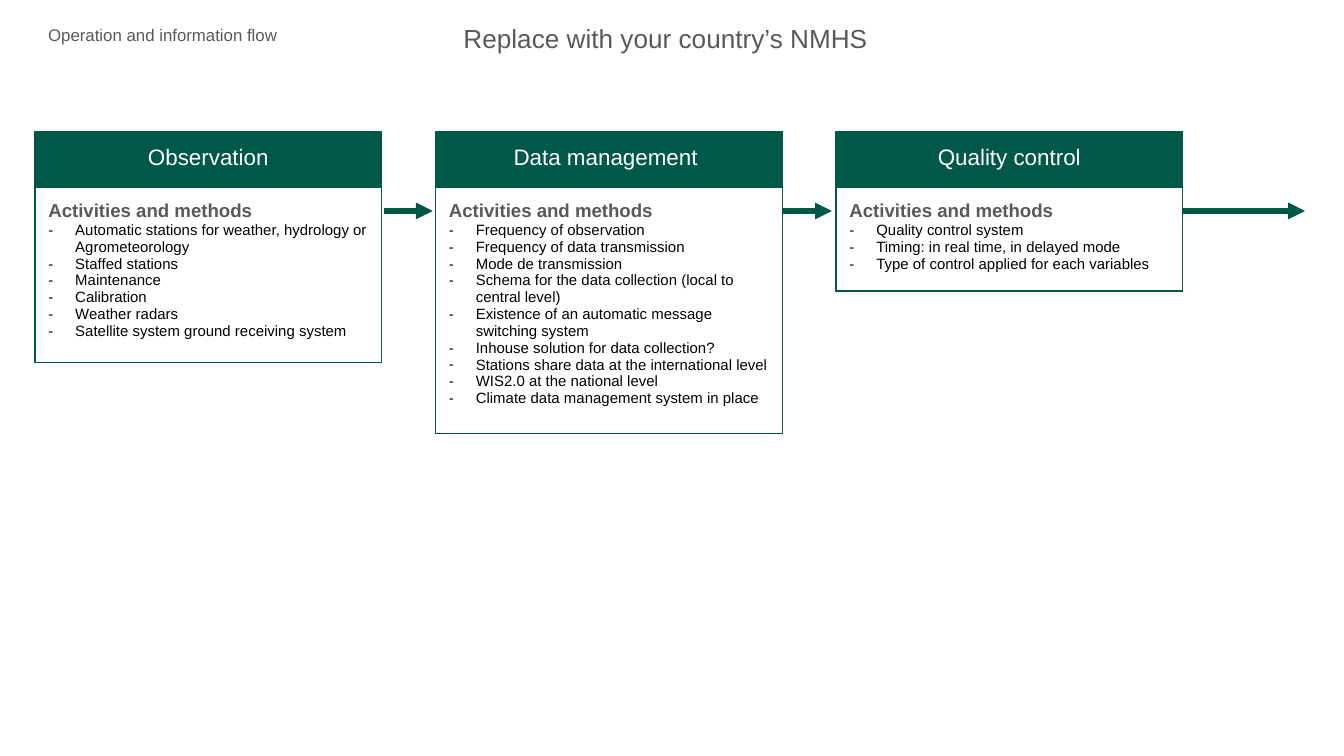
from dataclasses import dataclass

from lxml import etree
from pptx import Presentation
from pptx.dml.color import RGBColor
from pptx.enum.shapes import MSO_CONNECTOR
from pptx.enum.text import MSO_ANCHOR, PP_ALIGN
from pptx.oxml.ns import qn
from pptx.util import Inches, Pt

STRAIGHT = MSO_CONNECTOR.STRAIGHT
CENTER = PP_ALIGN.CENTER
TOP = MSO_ANCHOR.TOP


@dataclass(frozen=True)
class Theme:
    font: str = "Arial"
    green: str = "005849"
    gray: str = "595959"
    black: str = "000000"
    white: str = "FFFFFF"
    title: int = 14
    stage: int = 12
    heading: int = 10
    caption: int = 9
    item: int = 8


THEME = Theme()
MARGIN = Inches(0.1)
STAGE_LEFT, STAGE_STEP, STAGE_WIDTH = 0.26, 2.98, 2.58
STAGE_TOP, HEADER_HEIGHT = 0.98, 0.415
ARROW_Y = 1.57

STAGES = [
    ("Observation", 1.3, [
        "Automatic stations for weather, hydrology or Agrometeorology",
        "Staffed stations",
        "Maintenance",
        "Calibration",
        "Weather radars",
        "Satellite system ground receiving system",
    ]),
    ("Data management ", 1.83, [
        "Frequency of observation",
        "Frequency of data transmission",
        "Mode de transmission",
        "Schema for the data collection (local to central level)",
        "Existence of an automatic message switching system",
        "Inhouse solution for data collection?",
        "Stations share data at the international level",
        "WIS2.0 at the national level",
        "Climate data management system in place",
    ]),
    ("Quality control", 0.77, [
        "Quality control system",
        "Timing: in real time, in delayed mode",
        "Type of control applied for each variables",
    ]),
]
ARROWS = [(2.86, 3.22), (5.82, 6.19), (8.8, 9.71)]
CAPTIONS = [
    ("Operation and information flow", THEME.caption, (0.26, 0.11, 1.92, 0.35)),
    ("Replace with your country’s NMHS", THEME.title, (3.35, 0.07, 3.3, 0.44)),
]


def write(paragraph, text, size, color, bold=False):
    paragraph.text = text
    font = paragraph.font
    font.name, font.size, font.bold = THEME.font, Pt(size), bold
    font.color.rgb = RGBColor.from_string(color)


def set_borders(cell):
    """Outline all four sides; borders must precede the fill in tcPr."""
    properties = cell._tc.get_or_add_tcPr()
    for position, side in enumerate(("a:lnL", "a:lnR", "a:lnT", "a:lnB")):
        border = etree.Element(qn(side), w=str(Pt(0.75)))
        fill = etree.SubElement(border, qn("a:solidFill"))
        etree.SubElement(fill, qn("a:srgbClr"), val=THEME.green)
        properties.insert(position, border)


prs = Presentation()
prs.slide_width = Inches(10)
prs.slide_height = prs.slide_width * 9 // 16
slide = prs.slides.add_slide(prs.slide_layouts[6])

for text, size, bounds in CAPTIONS:
    frame = slide.shapes.add_textbox(*map(Inches, bounds)).text_frame
    frame.word_wrap = True
    frame.margin_left = frame.margin_right = MARGIN
    frame.margin_top = frame.margin_bottom = MARGIN
    write(frame.paragraphs[0], text, size, THEME.gray)

for index, (stage, body_height, activities) in enumerate(STAGES):
    table = slide.shapes.add_table(
        2, 1, Inches(STAGE_LEFT + index * STAGE_STEP), Inches(STAGE_TOP),
        Inches(STAGE_WIDTH), Inches(HEADER_HEIGHT + body_height)).table
    table.horz_banding = False
    table.rows[0].height = Inches(HEADER_HEIGHT)
    table.rows[1].height = Inches(body_height)
    header, body = table.cell(0, 0), table.cell(1, 0)
    for cell, color in ((header, THEME.green), (body, THEME.white)):
        cell.margin_left = cell.margin_right = MARGIN
        cell.margin_top = cell.margin_bottom = MARGIN
        cell.vertical_anchor = TOP
        cell.fill.solid()
        cell.fill.fore_color.rgb = RGBColor.from_string(color)
        set_borders(cell)

    stage_title = header.text_frame.paragraphs[0]
    write(stage_title, stage, THEME.stage, THEME.white)
    stage_title.alignment = CENTER

    write(body.text_frame.paragraphs[0], "Activities and methods",
          THEME.heading, THEME.gray, bold=True)
    for activity in activities:
        item = body.text_frame.add_paragraph()
        write(item, activity, THEME.item, THEME.black)
        properties = item._p.get_or_add_pPr()
        properties.set("marL", str(Inches(0.2)))
        properties.set("indent", str(-Inches(0.2)))
        bullet_color = etree.Element(qn("a:buClr"))
        etree.SubElement(bullet_color, qn("a:srgbClr"), val=THEME.black)
        properties.insert(0, bullet_color)
        properties.insert(1, etree.Element(qn("a:buFont"), typeface=THEME.font))
        properties.insert(2, etree.Element(qn("a:buChar"), char="-"))

for start, end in ARROWS:
    arrow = slide.shapes.add_connector(
        STRAIGHT, Inches(start), Inches(ARROW_Y), Inches(end), Inches(ARROW_Y))
    arrow.line.color.rgb = RGBColor.from_string(THEME.green)
    arrow.line.width = Pt(3)
    etree.SubElement(arrow.line._get_or_add_ln(), qn("a:tailEnd"), type="triangle")
    etree.SubElement(arrow._element.spPr, qn("a:effectLst"))

prs.save("out.pptx")
